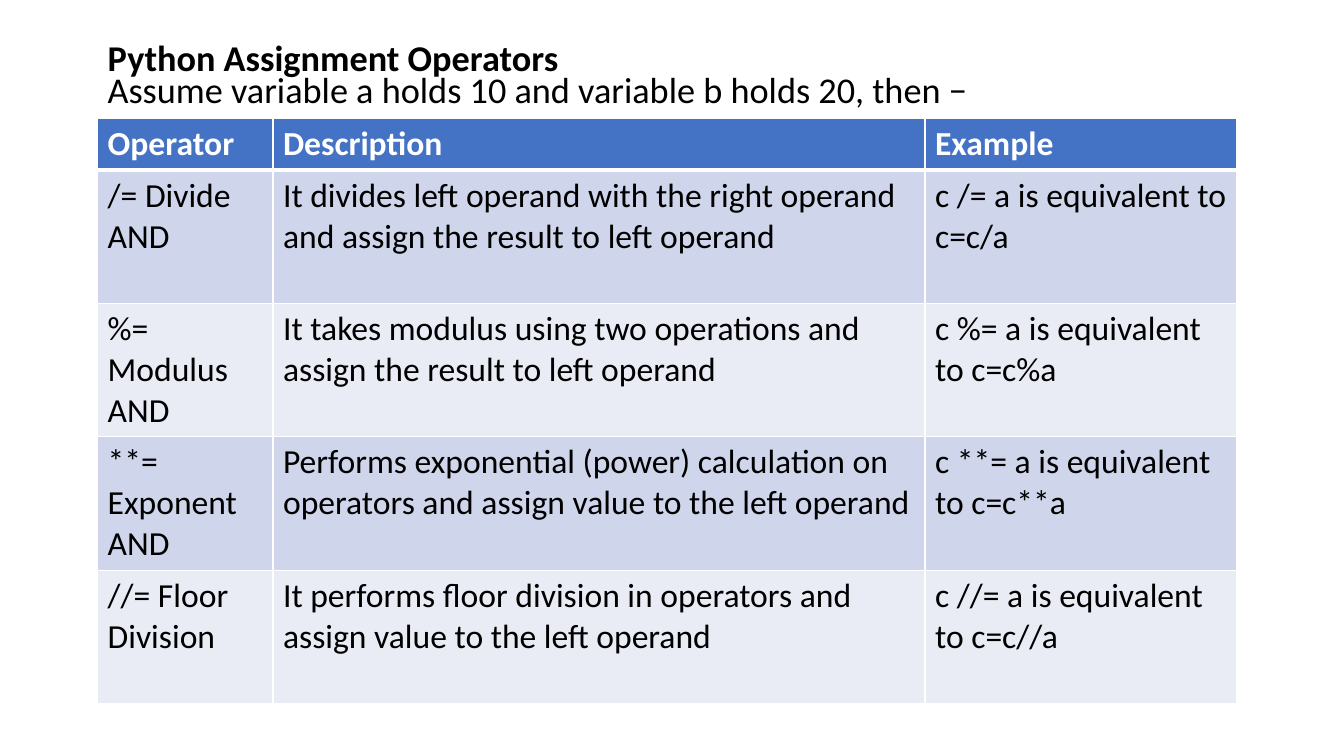
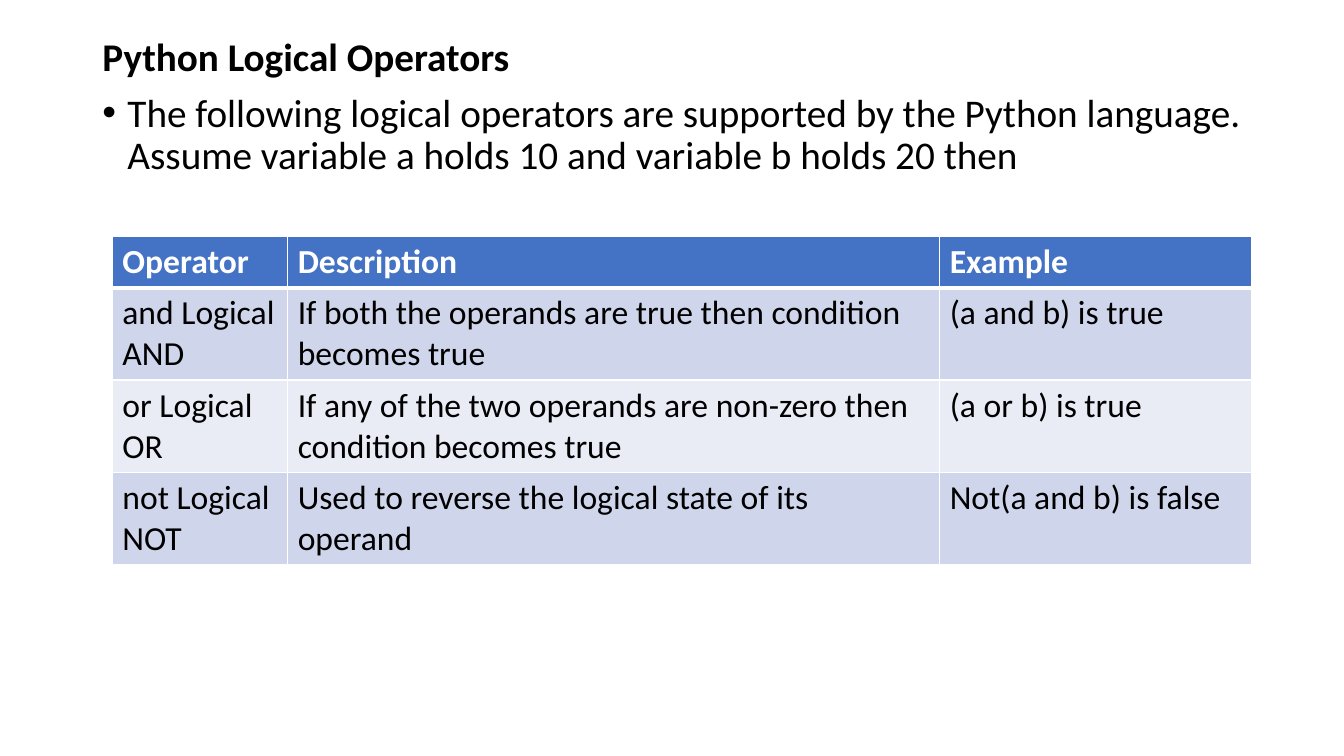
from lxml.etree import SubElement as SubEl
from pptx import Presentation
from pptx.dml.color import RGBColor as RGB
from pptx.enum.text import MSO_ANCHOR as ANCHOR, MSO_AUTO_SIZE as AUTO, PP_ALIGN as ALIGN
from pptx.oxml.ns import qn
from pptx.util import Emu, Pt

# Shared look
PX = 9525
SLIDE_W, SLIDE_H = 1280, 720
TITLE_ONLY = 5
FONT = "Calibri"
BLACK = RGB(0x00, 0x00, 0x00)
WHITE = RGB(0xFF, 0xFF, 0xFF)
HEADER_BLUE = RGB(0x44, 0x72, 0xC4)
BANDS = (RGB(0xCF, 0xD5, 0xEA), RGB(0xE9, 0xEB, 0xF5))

TEXT_W = 1104
TABLE_PT = 24
COL_WIDTHS = (167, 621, 297)
HEADER_H = 49
HEADINGS = ("Operator", "Description", "Example")
BULLET_INDENT = 24

ASSIGNMENT_ROWS = (
    ("/= Divide AND",
     "It divides left operand with the right operand and assign the result to left operand",
     "c /= a is equivalent to c=c/a"),
    ("%= Modulus AND",
     "It takes modulus using two operations and assign the result to left operand",
     "c %= a is equivalent to c=c%a"),
    ("**= Exponent AND",
     "Performs exponential (power) calculation on operators and assign value to the left operand",
     "c **= a is equivalent to c=c**a"),
    ("//= Floor Division",
     "It performs floor division in operators and assign value to the left operand",
     "c //= a is equivalent to c=c//a"),
)
LOGICAL_ROWS = (
    ("and Logical AND",
     "If both the operands are true then condition becomes true",
     "(a and b) is true"),
    ("or Logical OR",
     "If any of the two operands are non-zero then condition becomes true",
     "(a or b) is true"),
    ("not Logical NOT",
     "Used to reverse the logical state of its operand",
     "Not(a and b) is false"),
)


def px(n):
    return Emu(n * PX)


def set_attrs(obj, values):
    for name, value in values.items():
        setattr(obj, name, value)


def write(tf, text, size, bold=False, color=BLACK):
    """Put one formatted run into a text frame and return its paragraph."""
    p = tf.paragraphs[0]
    p.alignment = ALIGN.LEFT
    r = p.add_run()
    r.text = text
    set_attrs(r.font, {"name": FONT, "size": Pt(size), "bold": bold})
    r.font.color.rgb = color
    return p


def place(sp, box):
    """Move a text shape to its box and fix how its text sits."""
    set_attrs(sp, dict(zip(("left", "top", "width", "height"), map(px, box))))
    set_attrs(sp.text_frame, {"word_wrap": True, "auto_size": AUTO.NONE,
                              "vertical_anchor": ANCHOR.TOP})
    return sp.text_frame


def add_title(s, text, box, size):
    p = write(place(s.shapes.title, box), text, size, bold=True)
    set_attrs(p, {"line_spacing": 1.0, "space_before": Pt(0)})


def add_intro(s, text, box, size, spacing, bullet):
    p = write(place(s.shapes.add_textbox(0, 0, 0, 0), box), text, size)
    p.line_spacing = spacing
    if bullet:
        pPr = p._p.get_or_add_pPr()
        pPr.set("marL", str(px(BULLET_INDENT)))
        pPr.set("indent", str(-px(BULLET_INDENT)))
        SubEl(pPr, qn("a:buFont"), typeface="Arial")
        SubEl(pPr, qn("a:buChar"), char="•")


def add_borders(cell, top, bottom):
    """White cell lines; widths in points."""
    tcPr = cell._tc.get_or_add_tcPr()
    for side, width in (("L", 1), ("R", 1), ("T", top), ("B", bottom)):
        ln = SubEl(tcPr, qn("a:ln" + side), w=str(Pt(width)))
        SubEl(SubEl(ln, qn("a:solidFill")), qn("a:srgbClr"), val=str(WHITE))


def add_operator_table(s, rows, left, top, row_h):
    grid = (HEADINGS, *rows)
    heights = (HEADER_H, *[row_h] * len(rows))
    table = s.shapes.add_table(len(grid), len(HEADINGS), px(left), px(top),
                               px(sum(COL_WIDTHS)), px(sum(heights))).table
    for col, width in zip(table.columns, COL_WIDTHS):
        col.width = px(width)
    for i, (texts, height) in enumerate(zip(grid, heights)):
        table.rows[i].height = px(height)
        header = i == 0
        for j, text in enumerate(texts):
            cell = table.cell(i, j)
            add_borders(cell, top=3 if i == 1 else 1, bottom=3 if header else 1)
            cell.fill.solid()
            cell.fill.fore_color.rgb = HEADER_BLUE if header else BANDS[(i - 1) % 2]
            write(cell.text_frame, text, TABLE_PT, header, WHITE if header else BLACK)


def add_operator_slide(prs, title, intro, table):
    s = prs.slides.add_slide(prs.slide_layouts[TITLE_ONLY])
    add_title(s, **title)
    add_intro(s, **intro)
    add_operator_table(s, **table)


def main():
    prs = Presentation()
    set_attrs(prs, {"slide_width": px(SLIDE_W), "slide_height": px(SLIDE_H)})

    # Assignment operators
    add_operator_slide(
        prs,
        title={"text": "Python Assignment Operators",
               "box": (93, 29, TEXT_W, 44), "size": 25.9},
        intro={"text": "Assume variable a holds 10 and variable b holds 20, then −",
               "box": (93, 59, TEXT_W, 50), "size": 25.9, "spacing": 1.0, "bullet": False},
        table={"rows": ASSIGNMENT_ROWS, "left": 93, "top": 113, "row_h": 127})

    # Logical operators
    add_operator_slide(
        prs,
        title={"text": "Python Logical Operators",
               "box": (88, 26, TEXT_W, 50), "size": 28},
        intro={"text": "The following logical operators are supported by the Python language. "
                       "Assume variable a holds 10 and variable b holds 20 then",
               "box": (88, 84, TEXT_W, 100), "size": 28, "spacing": 0.9, "bullet": True},
        table={"rows": LOGICAL_ROWS, "left": 107, "top": 225, "row_h": 88})

    prs.save("out.pptx")


if __name__ == "__main__":
    main()
